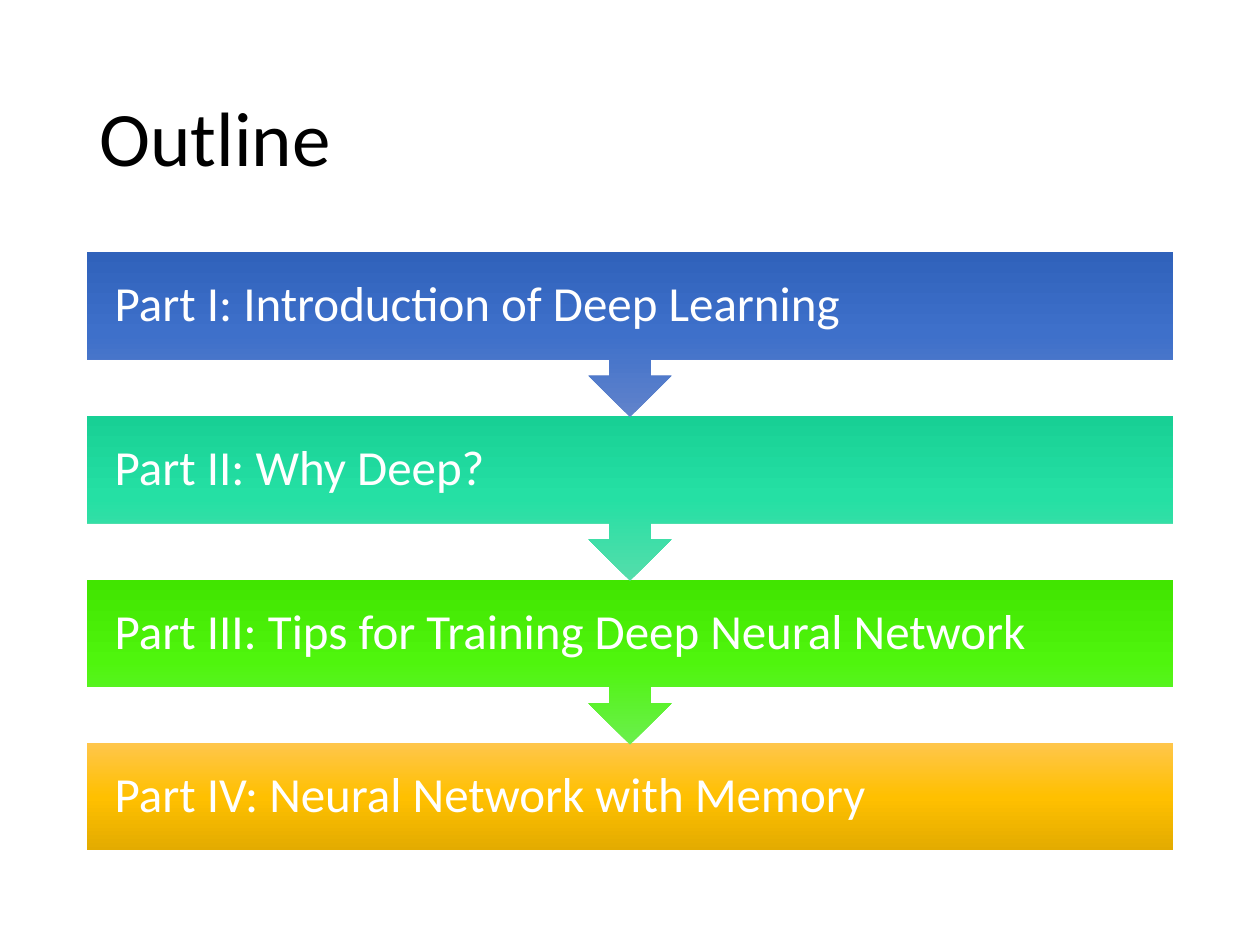
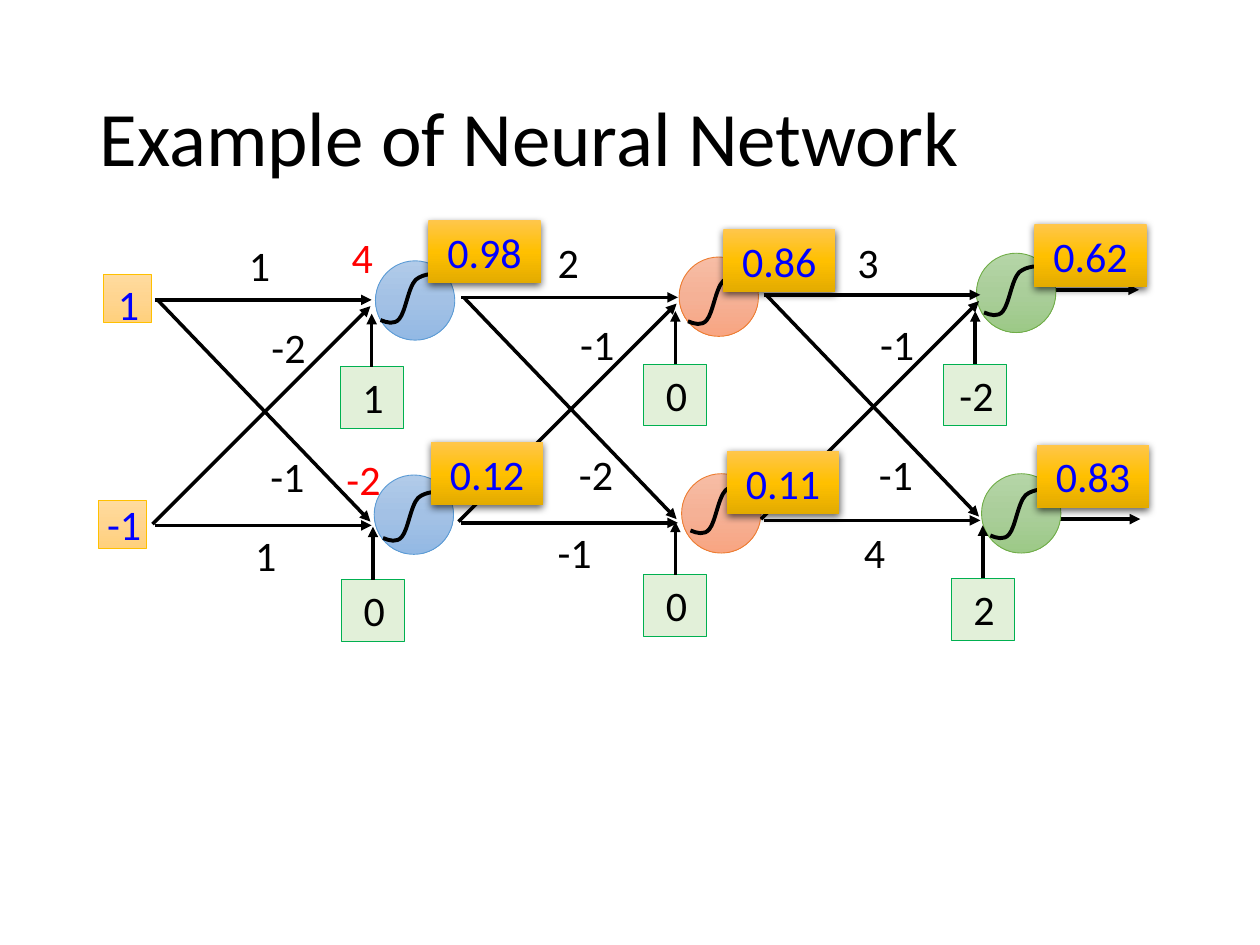
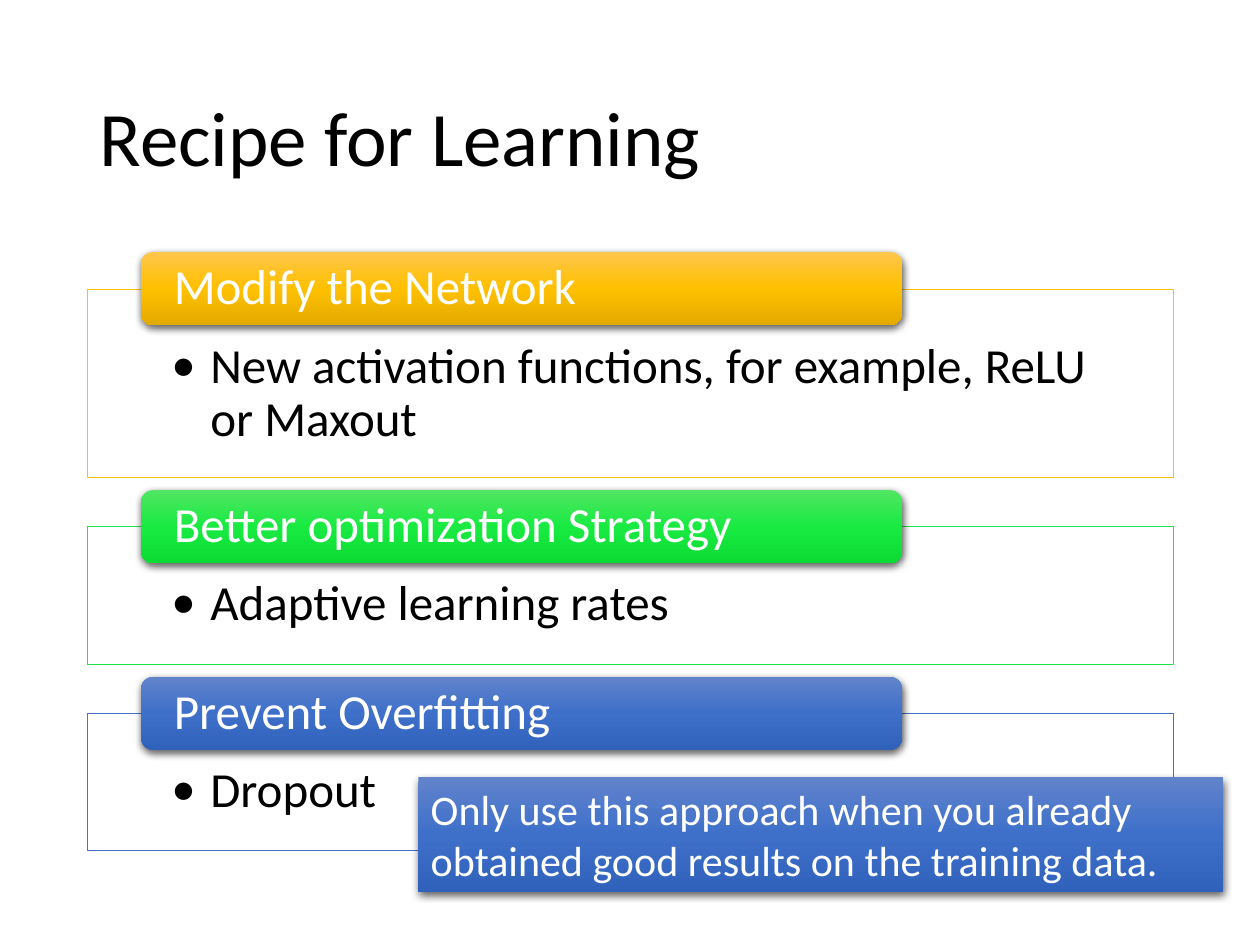
from dataclasses import dataclass

from lxml import etree
from pptx import Presentation
from pptx import util as u
from pptx.dml.color import RGBColor
from pptx.enum import shapes, text
from pptx.oxml.ns import qn


@dataclass(frozen=True)
class Theme:
    font: str = "Calibri"
    title_size: int = 44
    body_size: int = 28
    label_size: int = 24
    black: str = "000000"
    white: str = "FFFFFF"
    red: str = "FF0000"
    value_blue: str = "0000FF"
    # Gradients run from top to bottom
    blue: tuple = ("6183CB", "3E70CA", "3062BB")
    teal: tuple = ("55DDAB", "25E0A4", "18D095")
    lime: tuple = ("6BEF4D", "4FF50D", "41E500")
    green: tuple = ("51E663", "19EA42", "0CDB34")
    gold: tuple = ("FFC64B", "FFC000", "E3AB00")
    input_fill: tuple = ("FFDB9E", "FFD590", "FFD07C")
    # Outlines
    gold_line: str = "FFC000"
    green_line: str = "23E148"
    blue_line: str = "4472C4"
    bias_fill: str = "E2F0D9"
    bias_line: str = "00B050"
    # Fill and outline of the neurons in each layer
    layers: tuple = (
        (("B1CBE9", "A3C1E5", "93B9E4"), "5B9BD5"),
        (("F7BDA5", "F5B196", "F8A582"), "ED7D31"),
        (("B5D5A7", "AACE9A", "9CC987"), "70AD47"),
    )


theme = Theme()
kinds = shapes.MSO_SHAPE
align = text.PP_ALIGN
anchor = text.MSO_ANCHOR


def add_block(page, kind, box, fill, line=None, shadow=False):
    """Add a preset shape with a plain or gradient fill."""
    block = page.shapes.add_shape(kind, *map(u.Inches, box))
    block.shadow.inherit = False
    if isinstance(fill, tuple):
        block.fill.gradient()
        block.fill.gradient_angle = 270
        stops = block.element.spPr.find(".//" + qn("a:gsLst"))
        for stop in list(stops):
            stops.remove(stop)
        for position, colour in zip((0, 50000, 100000), fill):
            stop = etree.SubElement(stops, qn("a:gs"), pos=str(position))
            etree.SubElement(stop, qn("a:srgbClr"), val=colour)
    else:
        block.fill.solid()
        block.fill.fore_color.rgb = RGBColor.from_string(fill)
    if line:
        block.line.color.rgb = RGBColor.from_string(line)
        block.line.width = u.Pt(0.5)
    else:
        block.line.fill.background()
    if shadow:
        effects = block.element.spPr.find(qn("a:effectLst"))
        outer = etree.SubElement(
            effects, qn("a:outerShdw"), blurRad=str(u.Pt(4.5)), dist=str(u.Pt(1.5)),
            dir="5400000", algn="ctr", rotWithShape="0")
        colour = etree.SubElement(outer, qn("a:srgbClr"), val=theme.black)
        etree.SubElement(colour, qn("a:alpha"), val="63000")
    return block


def write(shape, words, size=theme.label_size, colour=theme.black, insets=(0, 0.05, 0, 0.05),
          **layout):
    """Fill a shape with one formatted paragraph and return it."""
    frame = shape.text_frame
    sides = ("margin_left", "margin_top", "margin_right", "margin_bottom")
    frame_format = dict(zip(sides, map(u.Inches, insets)))
    frame_format |= {"word_wrap": True, "auto_size": text.MSO_AUTO_SIZE.NONE,
                     "vertical_anchor": layout.pop("vertical_anchor", anchor.TOP)}
    para = frame.paragraphs[0]
    span = para.add_run()
    span.text = words
    span.font.color.rgb = RGBColor.from_string(colour)
    for target, values in (
        (frame, frame_format),
        (para, {"alignment": align.CENTER} | layout),
        (span.font, {"name": theme.font, "size": u.Pt(size)}),
    ):
        for name, value in values.items():
            setattr(target, name, value)
    return para


# Text formats shared by the slides
compact = {"alignment": align.LEFT, "line_spacing": 0.9}
middle = compact | {"vertical_anchor": anchor.MIDDLE}
heading = middle | {"size": theme.body_size, "colour": theme.white}

deck = Presentation()
deck.slide_width, deck.slide_height = u.Inches(10), u.Inches(7.5)

# Pages with their titles
pages = []
for words in ("Outline", "Example of Neural Network", "Recipe for Learning"):
    page = deck.slides.add_slide(deck.slide_layouts[5])
    title = page.shapes.title
    title.left, title.top, title.width, title.height = map(u.Inches, (0.69, 0.4, 8.62, 1.45))
    write(title, words, theme.title_size, insets=(0.1, 0.05, 0.1, 0.05), **middle)
    pages.append(page)
outline, network, recipe = pages

# Outline: a chain of callouts that ends in a plain bar
parts = [
    ("Part I: Introduction of Deep Learning", theme.blue),
    ("Part II: Why Deep?", theme.teal),
    ("Part III: Tips for Training Deep Neural Network", theme.lime),
    ("Part IV: Neural Network with Memory", theme.gold),
]
for index, (words, fill) in reversed(list(enumerate(parts))):
    top = 2 + 1.3 * index
    bar = (0.69, top, 8.62, 0.85)
    if index == len(parts) - 1:
        add_block(outline, kinds.RECTANGLE, bar, fill)
    else:
        callout = add_block(outline, kinds.UP_ARROW_CALLOUT, (0.69, top, 8.62, 1.31), fill)
        callout.rotation = 180
    label = outline.shapes.add_textbox(*map(u.Inches, bar))
    write(label, words, insets=(0.22,) * 4, **heading)

# Network: layer, neuron corner, curve corner, bias and its corner, output and its corner
neurons = [
    (0, (2.98, 2.07), (3.02, 2.17), "1", (2.7, 2.91), "0.98", (3.4, 1.75)),
    (0, (2.97, 3.77), (3.04, 3.9), "0", (2.71, 4.6), "0.12", (3.42, 3.51)),
    (1, (5.39, 2.04), (5.46, 2.18), "0", (5.11, 2.89), "0.86", (5.74, 1.82)),
    (1, (5.41, 3.76), (5.48, 3.84), "0", (5.11, 4.56), "0.11", (5.77, 3.58)),
    (2, (7.75, 2.01), (7.81, 2.11), "-2", (7.49, 2.89), "0.62", (8.21, 1.78)),
    (2, (7.79, 3.76), (7.86, 3.88), "2", (7.55, 4.59), "0.83", (8.23, 3.53)),
]
# Shift of the arrows, shift of the weights, and the weights of each layer
layers = [
    ((0, 0), (0, 0), ("1", "-2", "1", "-1")),
    ((2.43, -0.02), (2.45, -0.02), ("2", "-1", "-1", "-2")),
    ((4.83, -0.04), (4.83, -0.02), ("3", "-1", "4", "-1")),
]
layer_arrows = [
    (1.21, 4.16, 2.94, 2.43), (1.25, 2.38, 2.94, 4.14),
    (1.23, 4.17, 2.95, 4.17), (1.23, 2.38, 2.95, 2.38),
]
weight_spots = [(1.87, 1.85, 0.38), (2.05, 2.5, 0.48), (1.72, 4.15, 0.78), (1.89, 3.53, 0.78)]

# Neurons and bias boxes, while collecting arrows and labels
output_arrows = [(8.33, 2.3, 9.04, 2.3), (8.33, 4.12, 9.05, 4.12)]
arrows = list(output_arrows)
labels = [("4", 2.64, 1.79, 0.47, theme.red), ("-2", 2.51, 3.55, 0.75, theme.red)]
for layer, corner, _, bias, (left, top), _, _ in neurons:
    fill, line = theme.layers[layer]
    add_block(network, kinds.OVAL, (*corner, 0.63, 0.63), fill, line)
    add_block(network, kinds.RECTANGLE, (left, top, 0.5, 0.49), theme.bias_fill, theme.bias_line)
    arrows.append((left + 0.25, top, left + 0.25, top - 0.42))
    labels.append((bias, left + 0.02, top - 0.01, 0.48, theme.black))
for (right, down), (label_right, label_down), weights in layers:
    for x1, y1, x2, y2 in layer_arrows:
        arrows.append((x1 + right, y1 + down, x2 + right, y2 + down))
    for weight, (left, top, width) in zip(weights, weight_spots):
        labels.append((weight, left + label_right, top + label_down, width, theme.black))

# Inputs
for left, top in ((0.82, 2.18), (0.78, 3.97)):
    add_block(network, kinds.RECTANGLE, (left, top, 0.38, 0.38), theme.input_fill,
              theme.gold_line)
labels += [("1", 0.83, 2.16, 0.38, theme.value_blue), ("-1", 0.72, 3.91, 0.53, theme.value_blue)]

# Arrows, with the output arrows behind the neurons
title_element = network.shapes.title.element
for ends in arrows:
    arrow = network.shapes.add_connector(shapes.MSO_CONNECTOR.STRAIGHT, *map(u.Inches, ends))
    arrow.line.color.rgb = RGBColor.from_string(theme.black)
    arrow.line.width = u.Pt(2)
    stroke = arrow.element.spPr.find(qn("a:ln"))
    etree.SubElement(stroke, qn("a:tailEnd"), type="triangle")
    etree.SubElement(arrow.element.spPr, qn("a:effectLst"))
    if ends in output_arrows:
        title_element.addnext(arrow.element)

# Sigmoid curves: control and end points of each Bezier segment, in hundredths of an inch
sigmoid_start = (51, 0)
sigmoid = [
    ((43, 0), (34, 0), (28, 5)),
    ((22, 11), (20, 30), (15, 36)),
    ((11, 41), (5, 39), (0, 37)),
]
for _, _, (left, top), *_ in neurons:
    builder = network.shapes.build_freeform(*sigmoid_start, scale=u.Inches(0.01))
    builder.add_line_segments([segment[-1] for segment in sigmoid], close=False)
    curve = builder.convert_to_shape(u.Inches(left), u.Inches(top))
    curve.height = u.Inches(0.39)
    outline_path = curve.element.spPr.find(".//" + qn("a:path"))
    outline_path.set("h", "39")
    for straight, segment in zip(outline_path.findall(qn("a:lnTo")), sigmoid):
        bend = etree.SubElement(outline_path, qn("a:cubicBezTo"))
        for x, y in segment:
            etree.SubElement(bend, qn("a:pt"), x=str(x), y=str(y))
        outline_path.replace(straight, bend)
    curve.shadow.inherit = False
    curve.fill.background()
    curve.line.color.rgb = RGBColor.from_string(theme.black)
    curve.line.width = u.Pt(2.25)

# Labels and neuron outputs
for words, left, top, width, colour in labels:
    label = network.shapes.add_textbox(*map(u.Inches, (left, top, width, 0.5)))
    write(label, words, colour=colour)
for *_, output, corner in neurons:
    badge = add_block(network, kinds.RECTANGLE, (*corner, 0.89, 0.5), theme.gold, shadow=True)
    write(badge, output, colour=theme.value_blue)

# Recipe: heading, advice, heading top, frame top and height, colours
recipe_steps = [
    ("Modify the Network", "New activation functions, for example, ReLU or Maxout",
     2, 2.3, 1.49, theme.gold, theme.gold_line),
    ("Better optimization Strategy", "Adaptive learning rates",
     3.89, 4.18, 1.09, theme.green, theme.green_line),
    ("Prevent Overfitting", "Dropout",
     5.37, 5.66, 1.09, theme.blue, theme.blue_line),
]
for words, advice, top, frame_top, height, fill, line in recipe_steps:
    frame_box = (0.69, frame_top, 8.62, height)
    panel = add_block(recipe, kinds.RECTANGLE, frame_box, theme.white, line)
    colour = panel.element.spPr.find(qn("a:solidFill")).find(qn("a:srgbClr"))
    etree.SubElement(colour, qn("a:alpha"), val="90000")
    body = recipe.shapes.add_textbox(*map(u.Inches, frame_box))
    para = write(body, advice, theme.body_size, insets=(0.67, 0.41, 0.67, 0.22), level=1,
                 **compact)
    properties = para._p.get_or_add_pPr()
    properties.set("marL", str(u.Inches(0.31)))
    properties.set("indent", str(u.Inches(-0.31)))
    etree.SubElement(properties, qn("a:buFont"), typeface=theme.font)
    etree.SubElement(properties, qn("a:buChar"), char="•")

    add_block(recipe, kinds.ROUNDED_RECTANGLE, (1.12, top, 6.04, 0.58), fill, shadow=True)
    label = recipe.shapes.add_textbox(*map(u.Inches, (1.15, top + 0.03, 5.98, 0.52)))
    write(label, words, insets=(0.23, 0, 0.23, 0), **heading)

# Note on dropout
note = add_block(recipe, kinds.RECTANGLE, (3.32, 6.17, 6.39, 0.91), theme.blue, shadow=True)
write(note, "Only use this approach when you already obtained good results on the training data.",
      colour=theme.white, insets=(0.1, 0.05, 0.1, 0.05), alignment=align.LEFT)

deck.save("out.pptx")
